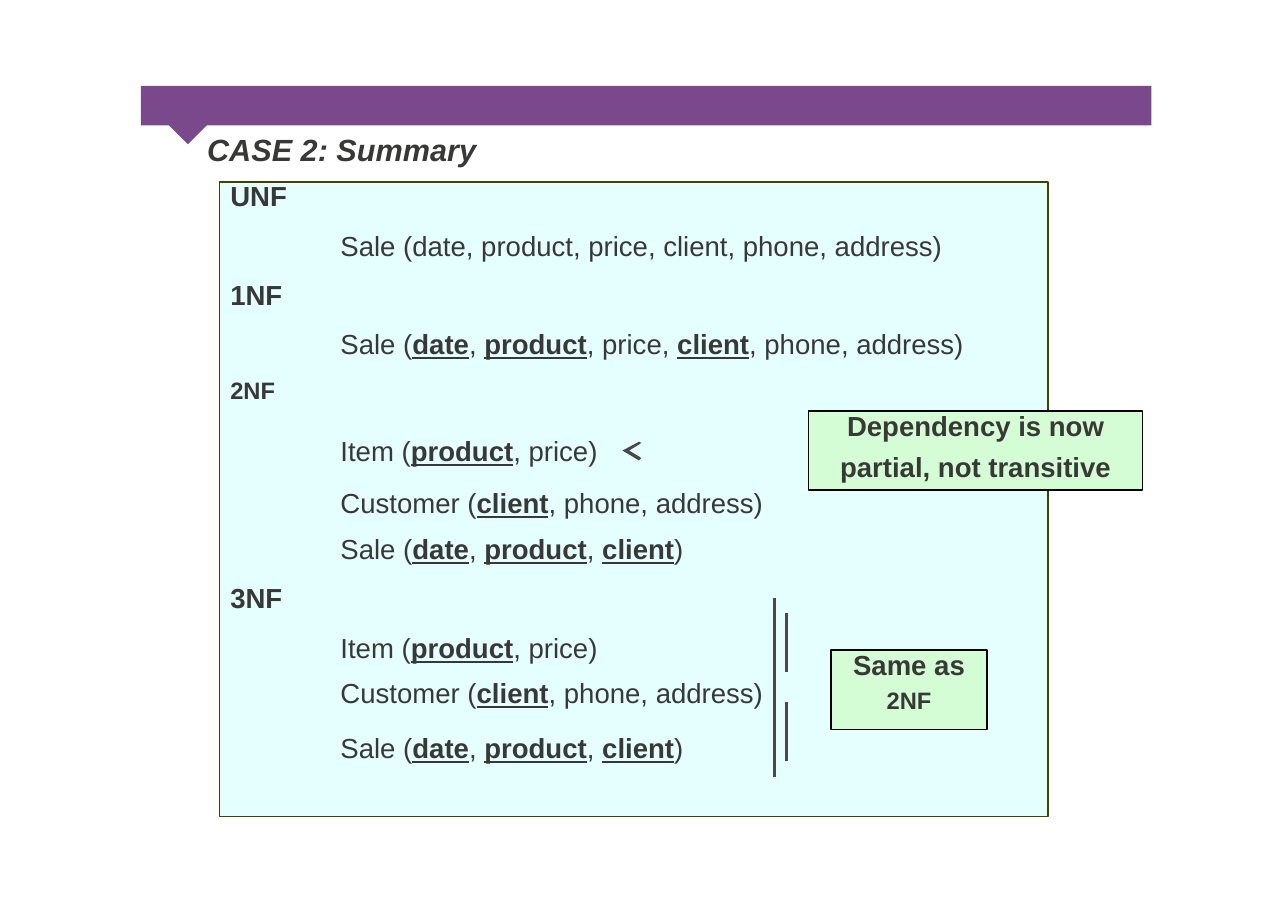
from pptx import Presentation
from pptx.dml.color import RGBColor
from pptx.enum.shapes import MSO_CONNECTOR, MSO_SHAPE
from pptx.enum.text import MSO_ANCHOR, MSO_AUTO_SIZE, PP_ALIGN
from pptx.oxml.ns import qn
from pptx.util import Inches, Pt

PURPLE, INK, GREY = "79498B", "383937", "494948"
PANEL, OLIVE, MINT, BLACK = "E5FEFF", "424100", "D4FDD5", "000000"
LINE = 20  # exact line height in points
TITLE = "CASE 2: Summary"

# (text, points from the baseline above); *...* marks a key attribute
ITEM = "Item (*product*, price)"
CUSTOMER = "Customer (*client*, phone, address)"
SALE = "Sale (*date*, *product*, *client*)"
FORMS = [
    ("UNF", LINE, [("Sale (date, product, price, client, phone, address)", 32.7)]),
    ("1NF", 32, [("Sale (*date*, *product*, price, *client*, phone, address)", 32)]),
    ("2NF", 28.7, [(ITEM, 41.2), (CUSTOMER, 34), (SALE, 30)]),
    ("3NF", 32, [(ITEM, 32.7), (CUSTOMER, 29.4), (SALE, 35.9)]),
]
# (left, top, width, height), lines of (text, points from the baseline above)
NOTES = [
    ((7.34, 3.73, 3.03, 0.72), [("Dependency is now", LINE), ("partial, not transitive", 26.8)]),
    ((7.54, 5.9, 1.42, 0.72), [("Same as", LINE), ("2NF", 22.2)]),
]
BRACKET = [(7.03, 5.43, 7.05), (7.14, 5.56, 6.1), (7.14, 6.37, 6.91)]  # x, top, bottom
ARROWHEAD = [(5.82, 4.02), (5.8, 4.01), (5.65, 4.09), (5.8, 4.18), (5.82, 4.16),
             (5.81, 4.15), (5.71, 4.09), (5.81, 4.03)]


def color(value):
    """Turn a hex string into a colour."""
    return RGBColor.from_string(value)


def paint(sp, fill, line=None):
    """Set the fill and the optional 1 pt outline of a shape."""
    sp.fill.solid()
    sp.fill.fore_color.rgb = color(fill)
    if line:
        sp.line.color.rgb = color(line)
        sp.line.width = Pt(1)
    else:
        sp.line.fill.background()


def place(sp, left, top, width, height):
    """Move and size a placeholder."""
    sp.left, sp.top, sp.width, sp.height = map(Inches, (left, top, width, height))


def add_preset(s, kind, box, fill, line=None):
    """Add a painted preset shape without shadow."""
    sp = s.shapes.add_shape(kind, *map(Inches, box))
    sp.shadow.inherit = False
    paint(sp, fill, line)
    return sp


def prepare(sp):
    """Give a shape's text frame no margins, wrapping and top alignment."""
    tf = sp.text_frame
    tf.margin_left = tf.margin_right = tf.margin_top = tf.margin_bottom = 0
    tf.word_wrap = True
    tf.auto_size = MSO_AUTO_SIZE.NONE
    tf.vertical_anchor = MSO_ANCHOR.TOP
    return tf


def write(tf, index, text, gap=LINE, indent=0, size=18, bold=True,
          italic=False, align=PP_ALIGN.LEFT):
    """Write one paragraph whose baseline lies gap points below the last."""
    p = tf.add_paragraph() if index else tf.paragraphs[0]
    p.alignment = align
    p.line_spacing, p.space_before, p.space_after = Pt(LINE), Pt(gap - LINE), Pt(0)
    pPr = p._p.get_or_add_pPr()
    pPr.set("marL", str(Inches(indent)))
    pPr.set("indent", "0")
    pPr.append(pPr.makeelement(qn("a:buNone"), {}))
    for i, part in enumerate(text.split("*")):
        key = i % 2 == 1
        r = p.add_run()
        r.text = part
        f = r.font
        f.name, f.size, f.italic = "Arial", Pt(size), italic
        f.bold, f.underline = bold or key, key
        f.color.rgb = color(INK)


def heading_size(text):
    """Return the size of a bold label; 2NF is set smaller."""
    return 15.5 if text == "2NF" else 18


prs = Presentation()
prs.slide_width, prs.slide_height = Inches(11.69), Inches(8.26)
s = prs.slides.add_slide(prs.slide_layouts[1])

title, panel = s.shapes.title, s.placeholders[1]
place(title, 1.88, 1.24, 4, 0.31)
write(prepare(title), 0, TITLE, size=20, italic=True)

add_preset(s, MSO_SHAPE.RECTANGLE, (1.28, 0.78, 9.17, 0.36), PURPLE)
add_preset(s, MSO_SHAPE.DIAMOND, (1.48, 0.86, 0.45, 0.45), PURPLE)

place(panel, 1.99, 1.65, 7.52, 5.76)
paint(panel, PANEL, OLIVE)
tf = prepare(panel)
row = 0
for form, form_gap, relations in FORMS:
    write(tf, row, form, form_gap, 0.1, heading_size(form))
    for row, (relation, gap) in enumerate(relations, row + 1):
        write(tf, row, relation, gap, 1.1, bold=False)
    row += 1

points = [(Inches(x), Inches(y)) for x, y in ARROWHEAD]
builder = s.shapes.build_freeform(*points[0])
builder.add_line_segments(points[1:], close=True)
arrowhead = builder.convert_to_shape()
arrowhead.shadow.inherit = False
paint(arrowhead, GREY)

for box, lines in NOTES:
    tf = prepare(add_preset(s, MSO_SHAPE.RECTANGLE, box, MINT, BLACK))
    for i, (text, gap) in enumerate(lines):
        write(tf, i, text, gap, size=heading_size(text), align=PP_ALIGN.CENTER)

for x, top, bottom in BRACKET:
    bar = s.shapes.add_connector(
        MSO_CONNECTOR.STRAIGHT, Inches(x), Inches(top), Inches(x), Inches(bottom))
    bar.line.color.rgb = color(GREY)
    bar.line.width = Pt(2)
    spPr = bar._element.spPr
    spPr.append(spPr.makeelement(qn("a:effectLst"), {}))

prs.save("out.pptx")
